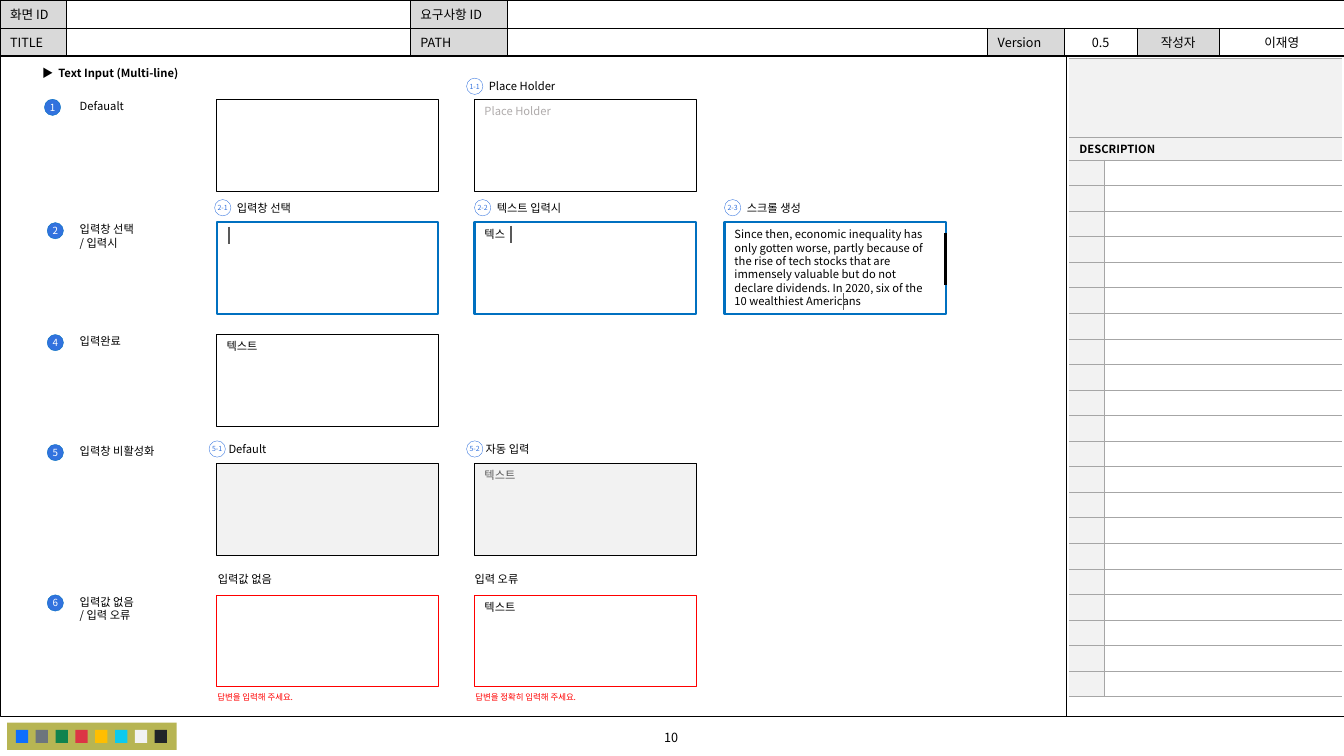
from lxml import etree
from pptx import Presentation
from pptx.dml.color import RGBColor
from pptx.enum.shapes import MSO_CONNECTOR, MSO_SHAPE
from pptx.enum.text import MSO_ANCHOR, PP_ALIGN
from pptx.oxml.ns import qn
from pptx.util import Cm, Pt

RECT, OVAL, LINE = MSO_SHAPE.RECTANGLE, MSO_SHAPE.OVAL, MSO_CONNECTOR.STRAIGHT
LEFT, CENTER = PP_ALIGN.LEFT, PP_ALIGN.CENTER
TOP, MIDDLE = MSO_ANCHOR.TOP, MSO_ANCHOR.MIDDLE
FONT = "Noto Sans CJK KR"
NO_TABLE_STYLE = "{2D5ABB26-0587-4C30-8999-92F81FD0307C}"
COLORS = {
    "black": "000000", "white": "FFFFFF", "head": "D9D9D9", "panel": "F2F2F2",
    "rule": "A6A6A6", "hint": "AFABAB", "muted": "595959", "badge": "3272DE",
    "focus": "0070C0", "error": "FF0000", "palette": "B7B553",
}
SWATCHES = ["0D6EFD", "6C757D", "10834E", "DC3545", "FFBE00", "0DCAF0", "F2F2F2", "212529"]
INSETS = (0.25, 0.13, 0.25, 0.13)
NO_INSETS = (0, 0, 0, 0)

FIELD_LEFTS = (5.46, 11.96, 18.26)
FIELD_W, FIELD_H = 5.59, 2.31
BADGE = 0.41
ESSAY = ("Since then, economic inequality has only gotten worse, partly because of the rise "
         "of tech stocks that are immensely valuable but do not declare dividends. "
         "In 2020, six of the 10 wealthiest Americans")

# Field: column, text, text colour. Caption: column, text, badge, badge offset, text offset.
STATES = [
    dict(number="1", left=1.12, top=2.5, field_top=2.5, label="Defaualt", lift=0.49,
         fields=[(0, "", "black"), (1, "Place Holder", "hint")],
         captions=[(1, "Place Holder", "1-1", -0.2, 0.36)]),
    dict(number="2", left=1.19, top=5.61, field_top=5.6, label="입력창 선택\n/ 입력시",
         line="focus", weight=1.5,
         fields=[(0, "", "black"), (1, "텍스", "black"), (2, ESSAY, "black")],
         captions=[(0, "입력창 선택", "2-1", -0.05, 0.51),
                   (1, "텍스트 입력시", "2-2", 0, 0.56),
                   (2, "스크롤 생성", "2-3", 0, 0.56)]),
    dict(number="4", left=1.19, top=8.43, field_top=8.43, label="입력완료",
         fields=[(0, "텍스트", "black")]),
    dict(number="5", left=1.19, top=11.2, field_top=11.68, label="입력창 비활성화", fill="panel",
         fields=[(0, "", "black"), (1, "텍스트", "muted")],
         captions=[(0, "Default", "5-1", -0.19, 0.3), (1, "자동 입력", "5-2", -0.2, 0.28)]),
    dict(number="6", left=1.19, top=14.99, field_top=14.99, label="입력값 없음\n/ 입력 오류",
         line="error", lift=0.58,
         fields=[(0, "", "black"), (1, "텍스트", "black")],
         captions=[(0, "입력값 없음", "", 0, 0.03), (1, "입력 오류", "", 0, 0)],
         messages=["답변을 입력해 주세요.", "답변을 정확히 입력해 주세요."]),
]


def rgb(name):
    return RGBColor.from_string(COLORS.get(name, name))


def style_paragraph(paragraph, size, color="black", align=LEFT, bold=False):
    paragraph.alignment = align
    font = paragraph.font
    font.size, font.bold, font.name = Pt(size), bold, FONT
    font.color.rgb = rgb(color)
    etree.SubElement(font._rPr, qn("a:ea")).set("typeface", FONT)


def write(frame, text, size, color="black", align=LEFT, bold=False,
          insets=INSETS, anchor=TOP, wrap=True):
    frame.text = text
    frame.word_wrap, frame.vertical_anchor = wrap, anchor
    (frame.margin_left, frame.margin_top,
     frame.margin_right, frame.margin_bottom) = map(Cm, insets)
    for paragraph in frame.paragraphs:
        style_paragraph(paragraph, size, color, align, bold)
        if "\n" in text or text == ESSAY:
            paragraph.line_spacing = Pt(size * 1.2)


def add_text(slide, box, text, size, **style):
    write(slide.shapes.add_textbox(*map(Cm, box)).text_frame, text, size, **style)


def add_block(slide, box, fill=None, line=None, weight=0.25, kind=RECT):
    block = slide.shapes.add_shape(kind, *map(Cm, box))
    block.shadow.inherit = False
    if fill:
        block.fill.solid()
        block.fill.fore_color.rgb = rgb(fill)
    else:
        block.fill.background()
    if line:
        block.line.color.rgb = rgb(line)
        block.line.width = Pt(weight)
    else:
        block.line.fill.background()
    return block


def add_vertical(slide, x, top, height, color, weight):
    rule = slide.shapes.add_connector(LINE, Cm(x), Cm(top), Cm(x), Cm(top + height))
    rule.line.color.rgb = rgb(color)
    rule.line.width = Pt(weight)
    etree.SubElement(rule._element.spPr, qn("a:effectLst"))


def add_badge(slide, left, top, text, size, fill, line, color):
    badge = add_block(slide, (left, top, BADGE, BADGE), fill, line, kind=OVAL)
    write(badge.text_frame, text, size, color, CENTER,
          insets=NO_INSETS, anchor=MIDDLE, wrap=False)


def add_grid(slide, left, top, widths, heights):
    grid = slide.shapes.add_table(len(heights), len(widths), Cm(left), Cm(top),
                                  Cm(sum(widths)), Cm(sum(heights))).table
    grid.first_row = grid.horz_banding = False
    grid._tbl.tblPr.find(qn("a:tableStyleId")).text = NO_TABLE_STYLE
    for column, width in zip(grid.columns, widths):
        column.width = Cm(width)
    for row, height in zip(grid.rows, heights):
        row.height = Cm(height)
    return grid


def fill_cell(cell, text, size, fill, sides, border, align=LEFT, bold=False, margin=0.0):
    """Borders go on the given sides, named in the order L, R, T, B."""
    properties = cell._tc.get_or_add_tcPr()
    for side in sides:
        edge = etree.SubElement(properties, qn(f"a:ln{side}"), w=str(Pt(0.5)))
        paint = etree.SubElement(edge, qn("a:solidFill"))
        etree.SubElement(paint, qn("a:srgbClr"), val=COLORS[border])
    if fill:
        cell.fill.solid()
        cell.fill.fore_color.rgb = rgb(fill)
    cell.text = text
    cell.vertical_anchor = MIDDLE
    cell.margin_top = cell.margin_bottom = Cm(margin)
    paragraph = cell.text_frame.paragraphs[0]
    style_paragraph(paragraph, size, align=align, bold=bold)
    if not text:
        paragraph._p.get_or_add_endParaRPr().set("sz", str(size * 100))


def add_header(slide, left, top):
    rows = [["화면 ID", "", "요구사항 ID", "", "", "", "", ""],
            ["TITLE", "", "PATH", "", "Version", "0.5", "작성자", "이재영"]]
    widths = (1.68, 8.66, 2.44, 12.11, 1.93, 1.83, 2.08, 3.14)
    grid = add_grid(slide, left, top, widths, (0.71, 0.71))
    for r, row in enumerate(rows):
        for c, text in enumerate(row):
            shaded = c % 2 == 0 and text
            fill_cell(grid.cell(r, c), text, 9, "head" if shaded else "white",
                      "LRTB", "black", CENTER if c > 4 else LEFT)
    grid.cell(0, 3).merge(grid.cell(0, 7))


def add_description(slide, left, top, height):
    note_rows, heads = 21, (1.98, 0.58)
    note_height = (height - sum(heads)) / note_rows
    grid = add_grid(slide, left, top, (0.89, 5.97), heads + (note_height,) * note_rows)
    for r in range(len(heads) + note_rows):
        is_head = r < len(heads)
        text = "DESCRIPTION" if r == 1 else ""
        fill_cell(grid.cell(r, 0), text, 8, "panel", "TB" if is_head else "RTB", "rule", bold=True)
        fill_cell(grid.cell(r, 1), "", 8, "panel" if is_head else None,
                  "TB" if is_head else "LTB", "rule")
        if is_head:
            grid.cell(r, 0).merge(grid.cell(r, 1))


def add_state(slide, number, left, top, field_top, label, fields, captions=(), messages=(),
              fill="white", line="black", weight=0.25, lift=0.53):
    add_badge(slide, left, top, number, 7, "badge", "focus", "white")
    add_text(slide, (2.01, top, 2.6, 0.34), label, 8, insets=NO_INSETS)
    for column, text, color in fields:
        box = (FIELD_LEFTS[column], field_top, FIELD_W, FIELD_H)
        field = add_block(slide, box, fill, line, weight)
        if text:
            write(field.text_frame, text, 8, color)
    for column, text, badge, badge_dx, text_dx in captions:
        x, y = FIELD_LEFTS[column], field_top - lift
        add_text(slide, (x + text_dx, y, 2.4, 0.34), text, 8, insets=NO_INSETS)
        if badge:
            add_badge(slide, x + badge_dx, y - 0.04, badge, 5, "white", "badge", "badge")
    for x, message in zip(FIELD_LEFTS, messages):
        add_text(slide, (x - 0.23, field_top + FIELD_H + 0.02, 4.17, 0.51),
                 message, 6, color="error")


def add_cursors(slide):
    for x, top in ((5.77, 5.72), (12.88, 5.69), (21.26, 7.39)):
        add_vertical(slide, x, top, 0.43, "muted", 1)
    add_vertical(slide, 23.83, 5.87, 1.3, "black", 2.25)


def add_palette(slide, left, top):
    add_block(slide, (left, top, 4.27, 0.69), "palette")
    for i, color in enumerate(SWATCHES):
        add_block(slide, (left + 0.22 + i * 0.5, top + 0.18, 0.31, 0.33), color)


def main():
    deck = Presentation()
    deck.slide_width, deck.slide_height = Cm(33.87), Cm(19.05)
    slide = deck.slides.add_slide(deck.slide_layouts[5])
    title = slide.shapes.title
    title.left, title.top, title.width, title.height = map(Cm, (0.81, 1.55, 8.28, 0.61))
    write(title.text_frame, "▶  Text Input (Multi-line)", 8, bold=True)
    add_header(slide, 0, 0)
    add_block(slide, (0, 1.4, 33.87, 16.66), line="black")
    add_vertical(slide, 26.87, 1.42, 16.64, "black", 0.5)
    add_palette(slide, 0.18, 18.21)
    add_text(slide, (13.64, 18.26, 6.55, 0.64), "10", 9, align=CENTER)
    for state in STATES:
        add_state(slide, **state)
    add_cursors(slide)
    add_description(slide, 26.95, 1.47, 16.1)
    deck.save("out.pptx")


if __name__ == "__main__":
    main()
